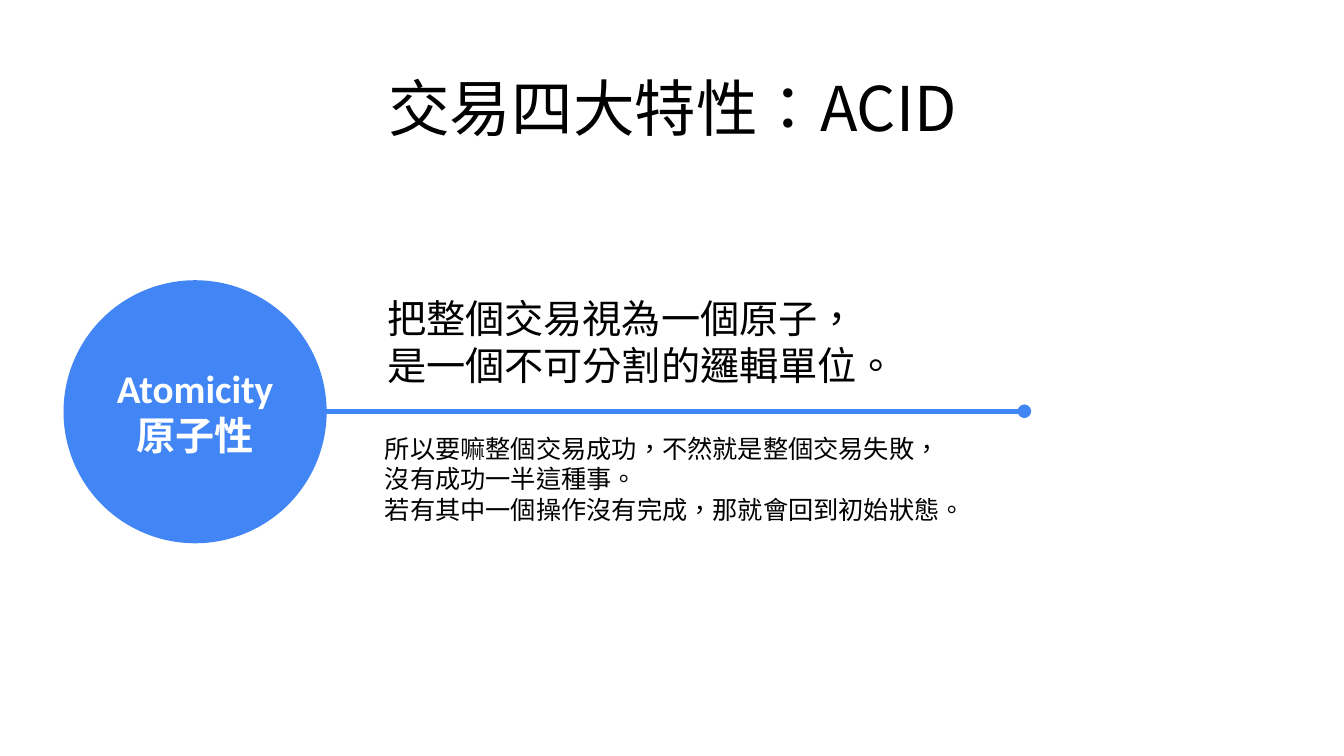
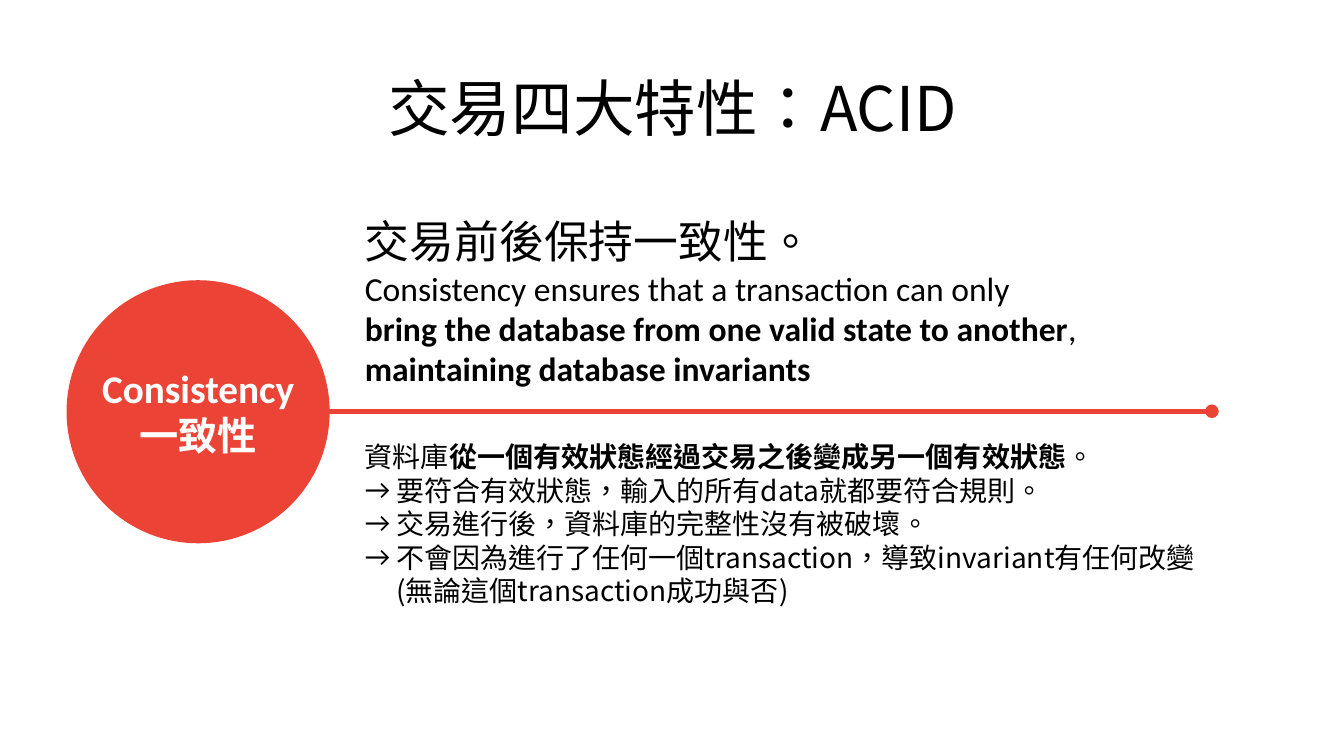
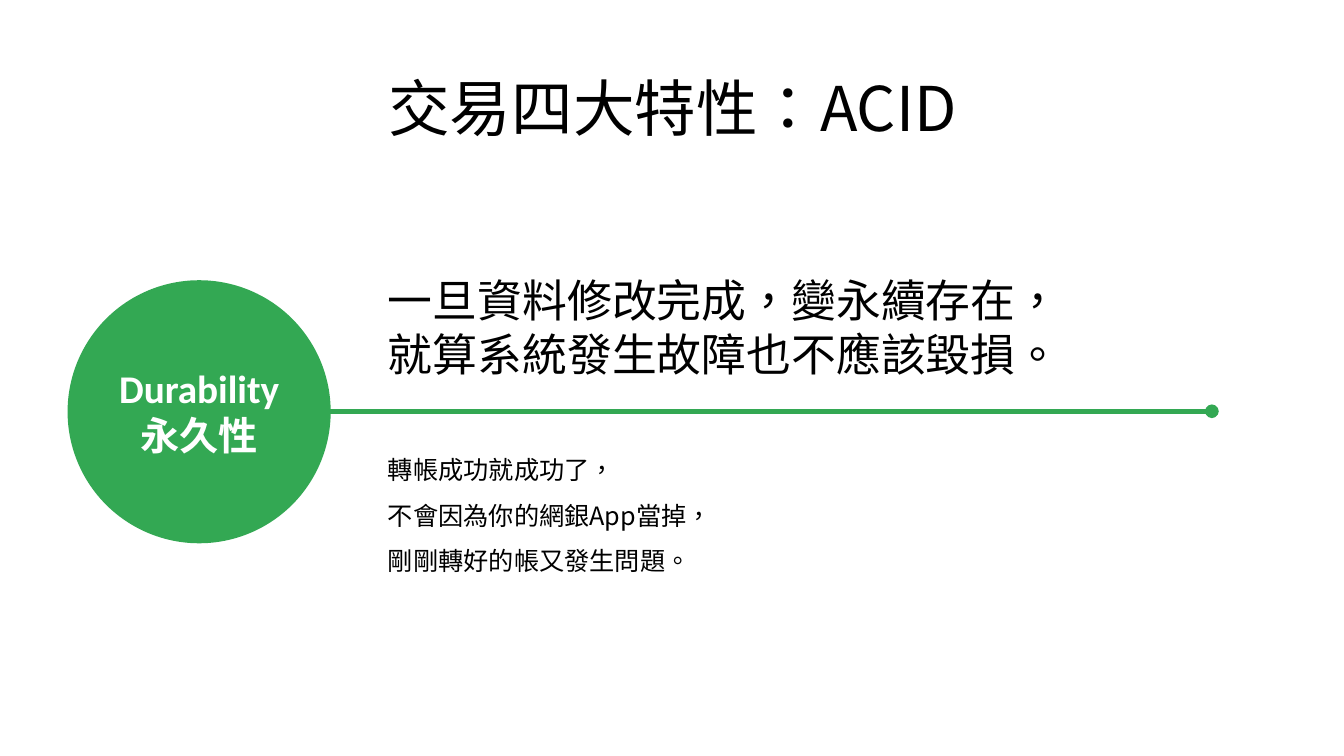
from pptx import Presentation
from pptx.dml.color import RGBColor
from pptx.enum.lang import MSO_LANGUAGE_ID as Lang
from pptx.enum.shapes import MSO_CONNECTOR as Connector, MSO_SHAPE as Shape
from pptx.enum.text import MSO_ANCHOR as Anchor, MSO_AUTO_SIZE as AutoSize, PP_ALIGN as Align
from pptx.oxml.ns import qn
from pptx.util import Inches, Pt
from lxml.etree import SubElement

BLACK, WHITE = "000000", "FFFFFF"
BLUE, RED, GREEN = "4285F5", "EB4335", "33A853"
CJK, LATIN = "Noto Sans CJK JP", "Calibri"
TITLE = "交易四大特性：ACID"
TITLE_BOX = (0.67, 0.44, 12, 1.25)
CIRCLE_TOP, CIRCLE_SIZE = 2.78, 2.61
LABEL_HEIGHT = 1.04
LINE_LEFT, LINE_Y = 3.04, 4.08
HANGING = 0.31


def color(hex_code):
    """Turn a hex string into a colour."""
    return RGBColor.from_string(hex_code)


def inches(box):
    """Convert left, top, width and height to lengths."""
    return [Inches(value) for value in box]


def add_run(paragraph, text, size=18, font=CJK, fill=BLACK, bold=False):
    """Add one formatted run, with the same face for East Asian text."""
    run = paragraph.add_run()
    run.text = text
    run.font.size = Pt(size)
    run.font.bold = bold
    run.font.color.rgb = color(fill)
    run.font.name = font
    if font == CJK:
        run.font.language_id = Lang.TRADITIONAL_CHINESE
        properties = run.font._element
        east_asian = SubElement(properties, qn("a:ea"), typeface=font)
        properties.find(qn("a:latin")).addnext(east_asian)


def add_bullet(paragraph):
    """Give a paragraph a hanging arrow bullet."""
    properties = paragraph._p.get_or_add_pPr()
    properties.set("marL", str(Inches(HANGING)))
    properties.set("indent", str(-Inches(HANGING)))
    SubElement(properties, qn("a:buFont"), typeface=LATIN)
    SubElement(properties, qn("a:buChar"), char="→")


def write(frame, paragraphs, align=Align.LEFT, spacing=None, **style):
    """Fill a frame; a paragraph is a string or a dict of runs and overrides."""
    for index, content in enumerate(paragraphs):
        if isinstance(content, str):
            content = {"runs": [content]}
        paragraph = frame.paragraphs[0] if index == 0 else frame.add_paragraph()
        paragraph.alignment = align
        if spacing:
            paragraph.line_spacing = spacing
        if content.get("bullet"):
            add_bullet(paragraph)
        paragraph_style = {**style, **content.get("style", {})}
        for run in content["runs"]:
            text, extra = (run, {}) if isinstance(run, str) else run
            add_run(paragraph, text, **{**paragraph_style, **extra})


def add_text(shapes, box, paragraphs, wrap=True, anchor=Anchor.TOP, **style):
    """Add a text box that grows with its text."""
    frame = shapes.add_textbox(*inches(box)).text_frame
    frame.word_wrap = wrap
    frame.auto_size = AutoSize.SHAPE_TO_FIT_TEXT
    frame.vertical_anchor = anchor
    write(frame, paragraphs, **style)


def add_title(slide, box):
    """Place and format the title."""
    title = slide.shapes.title
    title.left, title.top, title.width, title.height = inches(box)
    title.text_frame.vertical_anchor = Anchor.MIDDLE
    write(title.text_frame, [TITLE], align=Align.CENTER, size=44)


def add_dotted_line(slide, left, right, y, accent):
    """Draw a horizontal line with round ends."""
    line = slide.shapes.add_connector(
        Connector.STRAIGHT, Inches(left), Inches(y), Inches(right), Inches(y))
    line.line.color.rgb = color(accent)
    line.line.width = Pt(3.25)
    outline = line.line._get_or_add_ln()
    for end in ("a:headEnd", "a:tailEnd"):
        SubElement(outline, qn(end), type="oval")
    SubElement(line._element.spPr, qn("a:effectLst"))


def add_badge(slide, box, names, label_width, accent):
    """Group a coloured circle with a label at its centre."""
    left, top, width, height = box
    badge = slide.shapes.add_group_shape()
    circle = badge.shapes.add_shape(Shape.OVAL, *inches(box))
    circle.shadow.inherit = False
    circle.fill.solid()
    circle.fill.fore_color.rgb = color(accent)
    circle.line.fill.background()
    english, chinese = names
    label_box = (left + (width - label_width) / 2,
                 top + (height - LABEL_HEIGHT) / 2, label_width, LABEL_HEIGHT)
    add_text(badge.shapes, label_box,
             [{"runs": [(english, {"font": LATIN})]}, chinese],
             wrap=False, anchor=Anchor.MIDDLE, align=Align.CENTER,
             size=28, fill=WHITE, bold=True)


def add_property_slide(deck, accent, names, label_width, circle_left, line_right,
                       summary, details):
    """Build a slide for one property: badge, line, summary above, details below."""
    slide = deck.slides.add_slide(deck.slide_layouts[5])
    add_title(slide, TITLE_BOX)
    add_dotted_line(slide, LINE_LEFT, line_right, LINE_Y, accent)
    add_badge(slide, (circle_left, CIRCLE_TOP, CIRCLE_SIZE, CIRCLE_SIZE),
              names, label_width, accent)
    for text in (summary, details):
        add_text(slide.shapes, **text)


def main():
    """Build and save the deck."""
    deck = Presentation()
    deck.slide_width, deck.slide_height = Inches(13.33), Inches(7.5)
    bold, english = {"bold": True}, {"size": 24, "font": LATIN}

    add_property_slide(
        deck, BLUE, ("Atomicity", "原子性"), 1.77, 0.63, 10.16,
        summary=dict(box=(3.74, 2.87, 5.31, 1.04), wrap=False, size=28, paragraphs=[
            "把整個交易視為一個原子，",
            "是一個不可分割的邏輯單位。"]),
        details=dict(box=(3.72, 4.25, 6.67, 1.01), size=18, paragraphs=[
            "所以要嘛整個交易成功，不然就是整個交易失敗，",
            "沒有成功一半這種事。",
            "若有其中一個操作沒有完成，那就會回到初始狀態。"]))

    rules = ["要符合有效狀態，輸入的所有data就都要符合規則。",
             "交易進行後，資料庫的完整性沒有被破壞。",
             "不會因為進行了任何一個transaction，導致invariant有任何改變 "
             "(無論這個transaction成功與否)"]
    add_property_slide(
        deck, RED, ("Consistency", "一致性"), 2.13, 0.66, 12.02,
        summary=dict(box=(3.52, 2.07, 9.5, 1.85), size=32, paragraphs=[
            "交易前後保持一致性。",
            {"runs": ["Consistency ensures that a transaction can only"], "style": english},
            {"runs": [("bring the database from one valid state to another", bold), ","],
             "style": english},
            {"runs": [("maintaining database invariants", bold)], "style": english}]),
        details=dict(box=(3.52, 4.31, 8.82, 1.78), size=20, paragraphs=[
            {"runs": ["資料庫", ("從一個有效狀態經過交易之後變成另一個有效狀態", bold), "。"]},
            *({"runs": [rule], "bullet": True} for rule in rules)]))

    add_property_slide(
        deck, GREEN, ("Durability", "永久性"), 1.81, 0.67, 12.02,
        summary=dict(box=(3.75, 2.66, 6.93, 1.18), wrap=False, size=32, paragraphs=[
            "一旦資料修改完成，變永續存在，",
            "就算系統發生故障也不應該毀損。"]),
        details=dict(box=(3.75, 4.31, 8.5, 1.41), size=18, spacing=1.5, paragraphs=[
            "轉帳成功就成功了，",
            "不會因為你的網銀App當掉，",
            "剛剛轉好的帳又發生問題。"]))

    deck.save("out.pptx")


main()
